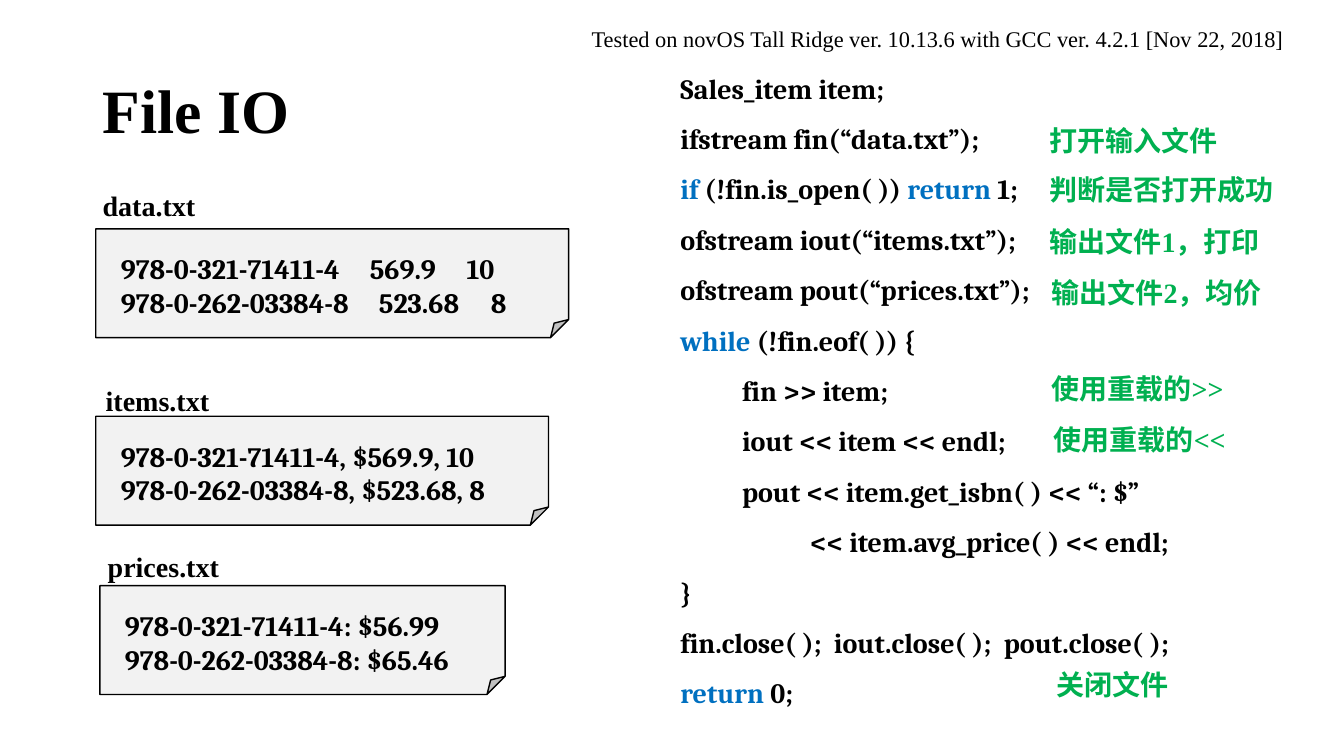
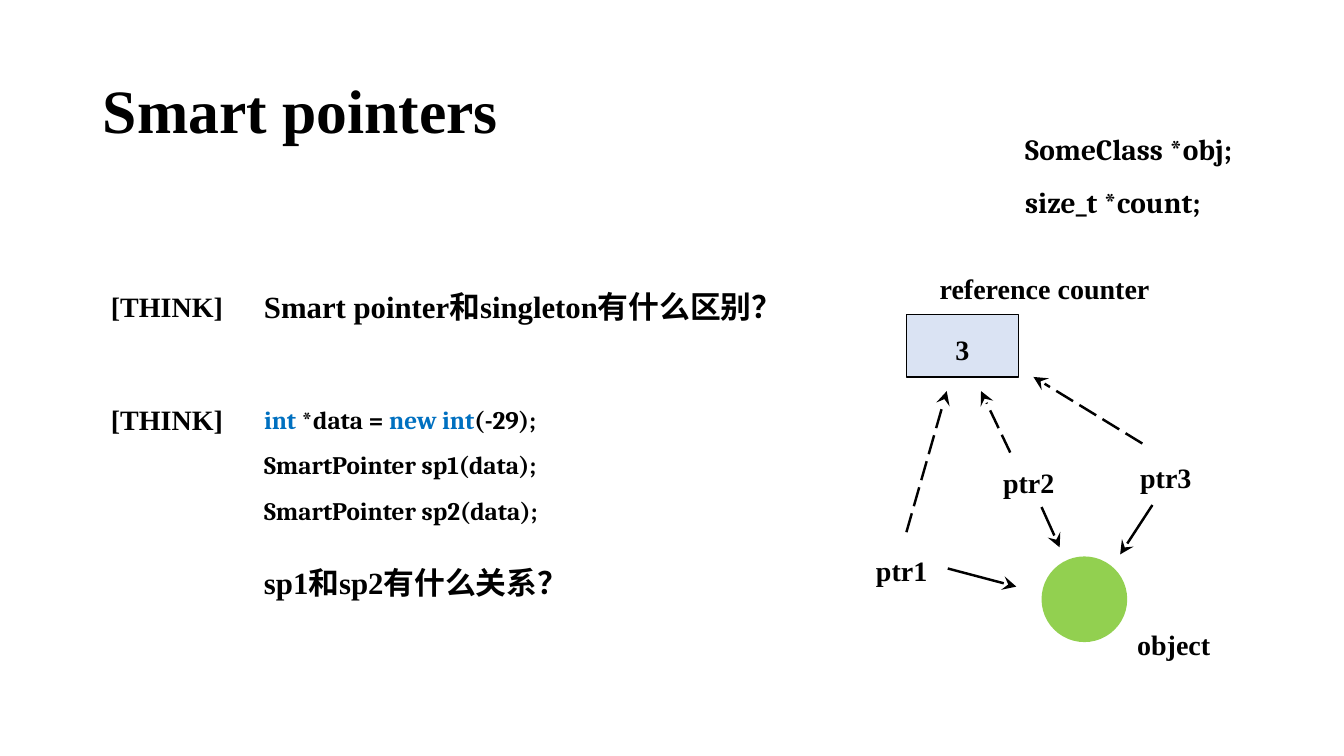
from lxml import etree
from pptx import Presentation
from pptx.dml.color import RGBColor
from pptx.enum.dml import MSO_LINE
from pptx.enum.shapes import MSO_CONNECTOR, MSO_SHAPE
from pptx.enum.text import MSO_ANCHOR, MSO_AUTO_SIZE, PP_ALIGN
from pptx.oxml.ns import qn
from pptx.util import Pt

PX = 9144
TITLE_ONLY = 5
LEFT, CENTER, JUSTIFY = PP_ALIGN.LEFT, PP_ALIGN.CENTER, PP_ALIGN.JUSTIFY
MIDDLE = MSO_ANCHOR.MIDDLE
FIT_SHAPE, FIT_NONE = MSO_AUTO_SIZE.SHAPE_TO_FIT_TEXT, MSO_AUTO_SIZE.NONE
FOLDED, OVAL, RECT = MSO_SHAPE.FOLDED_CORNER, MSO_SHAPE.OVAL, MSO_SHAPE.RECTANGLE
STRAIGHT = MSO_CONNECTOR.STRAIGHT
LONG_DASH = MSO_LINE.LONG_DASH

COLORS = {
    "ink": "000000", "keyword": "0070C0", "note": "00B050",
    "paper": "F2F2F2", "counter": "DAE3F3", "object": "92D050",
}
TITLE = {"name": "Times New Roman", "size": Pt(44), "bold": True}
LABEL = {"name": "Times New Roman", "size": Pt(20), "bold": True}
QUESTION = {**LABEL, "size": Pt(22)}
CAPTION = {**LABEL, "size": Pt(16), "bold": False}
CODE = {"name": "Cambria", "size": Pt(20), "bold": True}
SNIPPET = {**CODE, "size": Pt(18)}
MEMBERS = {**CODE, "size": Pt(21)}

PROGRAM = [
    "Sales_item item;",
    "ifstream fin(“data.txt”);",
    "|if| (!fin.is_open( )) |return| 1;",
    "ofstream iout(“items.txt”);",
    "ofstream pout(“prices.txt”);",
    "|while| (!fin.eof( )) {",
    "          fin >> item;",
    "          iout << item << endl;",
    "          pout << item.get_isbn( ) << “: $”",
    "                     << item.avg_price( ) << endl;",
    "}",
    "fin.close( );  iout.close( );  pout.close( );",
    "|return| 0;",
]
NOTES = [
    (366, 52, 217, "打开输入文件"),
    (366, 101, 256, "判断是否打开成功"),
    (366, 152, 256, "输出文件1，打印"),
    (368, 203, 256, "输出文件2，均价"),
    (368, 298, 217, "使用重载的>>"),
    (370, 349, 217, "使用重载的<<"),
    (373, 592, 150, "关闭文件"),
]
FILES = [
    ((95, 227, 469, 108), (-3, -62), "data.txt",
     ["978-0-321-71411-4\t569.9\t10", "978-0-262-03384-8\t523.68\t8"],
     [(247, 343), (256, 367)]),
    ((95, 413, 449, 108), (0, -54), "items.txt",
     ["978-0-321-71411-4, $569.9, 10", "978-0-262-03384-8, $523.68, 8"], []),
    ((99, 581, 402, 108), (-2, -57), "prices.txt",
     ["978-0-321-71411-4: $56.99", "978-0-262-03384-8: $65.46"], []),
]
POINTERS = [
    ("ptr1", (0, 280), (81, 316, 149, 334), (40, 280, 80, 140)),
    ("ptr2", (126, 192), (174, 255, 192, 295), (143, 201, 114, 140)),
    ("ptr3", (262, 187), (284, 253, 252, 302), (274, 192, 166, 126)),
]


def emu(*lengths):
    return [length * PX for length in lengths]


def rgb(color):
    return RGBColor.from_string(COLORS[color])


def apply_font(font, style, color="ink"):
    for attribute, value in style.items():
        setattr(font, attribute, value)
    font.color.rgb = rgb(color)


def write(frame, lines, style, color="ink", spacing=1.5, align=JUSTIFY, stops=()):
    for number, line in enumerate(lines):
        paragraph = frame.add_paragraph() if number else frame.paragraphs[0]
        paragraph.alignment = align
        paragraph.line_spacing = spacing
        if stops:
            tabs = etree.SubElement(paragraph._p.get_or_add_pPr(), qn("a:tabLst"))
            for stop in stops[number]:
                etree.SubElement(tabs, qn("a:tab"), pos=str(stop * PX), algn="l")
        for part, words in enumerate(line.split("|")):
            if words:
                run = paragraph.add_run()
                run.text = words
                apply_font(run.font, style, "keyword" if part % 2 else color)


def add_text(slide, box, lines, style=LABEL, **options):
    frame = slide.shapes.add_textbox(*emu(*box)).text_frame
    frame.word_wrap = True
    frame.auto_size = FIT_SHAPE
    write(frame, lines, style, **options)


def add_figure(slide, kind, box, fill, outlined=True):
    figure = slide.shapes.add_shape(kind, *emu(*box))
    figure.shadow.inherit = False
    figure.fill.solid()
    figure.fill.fore_color.rgb = rgb(fill)
    if outlined:
        figure.line.color.rgb = rgb("ink")
        figure.line.width = Pt(1)
    else:
        figure.line.fill.background()
    return figure


def add_arrow(slide, ends, dash=None):
    arrow = slide.shapes.add_connector(STRAIGHT, *emu(*ends))
    arrow.line.color.rgb = rgb("ink")
    arrow.line.width = Pt(1.75)
    if dash:
        arrow.line.dash_style = dash
    etree.SubElement(arrow.line._get_or_add_ln(), qn("a:tailEnd"),
                     type="stealth", w="lg", len="lg")
    etree.SubElement(arrow._element.spPr, qn("a:effectLst"))


def add_titled_slide(deck, heading):
    slide = deck.slides.add_slide(deck.slide_layouts[TITLE_ONLY])
    title = slide.shapes.title
    title.left, title.top, title.width, title.height = emu(92, 40, 1150, 145)
    frame = title.text_frame
    frame.auto_size = FIT_NONE
    frame.vertical_anchor = MIDDLE
    write(frame, [heading], TITLE, spacing=0.9, align=LEFT)
    return slide


def add_file_card(slide, box, label_shift, name, records, stops):
    left, top, width, height = box
    shift_x, shift_y = label_shift
    add_figure(slide, FOLDED, box, "paper")
    add_text(slide, (left + shift_x, top + shift_y, 143, 54), [name])
    add_text(slide, (left + 15, top + 18, width - 17, 77), records, CODE,
             spacing=1.0, align=LEFT, stops=stops)


def add_program(slide, box):
    left, top = box[:2]
    add_text(slide, box, PROGRAM, CODE)
    for x, y, width, note in NOTES:
        add_text(slide, (left + x, top + y, width, 54), [note], color="note")


def add_question(slide, left, top, question_top, question):
    add_text(slide, (left, top, 165, 55), ["[THINK]"])
    add_text(slide, (left + 152, question_top, 734, 59), [question], QUESTION)


def add_reference_diagram(slide, left, top):
    def place(x, y, *size):
        return (left + x, top + y, *size)

    add_text(slide, place(63, 0, 279, 54), ["reference counter"])
    counter = add_figure(slide, RECT, place(40, 64, 111, 62), "counter")
    counter.text_frame.vertical_anchor = MIDDLE
    write(counter.text_frame, ["3"], LABEL, spacing=1.2, align=CENTER)
    add_figure(slide, OVAL, place(174, 304, 85, 85), "object", outlined=False)
    add_text(slide, place(259, 353, 124, 54), ["object"])
    for name, spot, to_object, to_counter in POINTERS:
        add_text(slide, place(*spot, 80, 54), [name])
        for ends, dash in ((to_object, None), (to_counter, LONG_DASH)):
            add_arrow(slide, place(*ends[:2]) + place(*ends[2:]), dash)


def build_file_slide(deck):
    slide = add_titled_slide(deck, "File IO")
    add_program(slide, (665, 49, 552, 660))
    for card in FILES:
        add_file_card(slide, *card)
    add_text(slide, (577, 7, 727, 46),
             ["Tested on novOS Tall Ridge ver. 10.13.6 with GCC ver. 4.2.1 [Nov 22, 2018]"],
             CAPTION)


def build_pointer_slide(deck):
    slide = add_titled_slide(deck, "Smart pointers")
    add_question(slide, 100, 266, 262, "Smart pointer和singleton有什么区别？")
    add_question(slide, 100, 378, 536, "sp1和sp2有什么关系？")
    add_text(slide, (252, 381, 322, 141),
             ["|int| *data = |new int|(-29);", "SmartPointer sp1(data);",
              "SmartPointer sp2(data);"], SNIPPET, align=LEFT)
    add_text(slide, (1007, 108, 247, 110), ["SomeClass *obj;", "size_t *count;"], MEMBERS)
    add_reference_diagram(slide, 859, 248)


def main():
    deck = Presentation()
    deck.slide_width, deck.slide_height = emu(1333, 750)
    build_file_slide(deck)
    build_pointer_slide(deck)
    deck.save("out.pptx")


if __name__ == "__main__":
    main()
